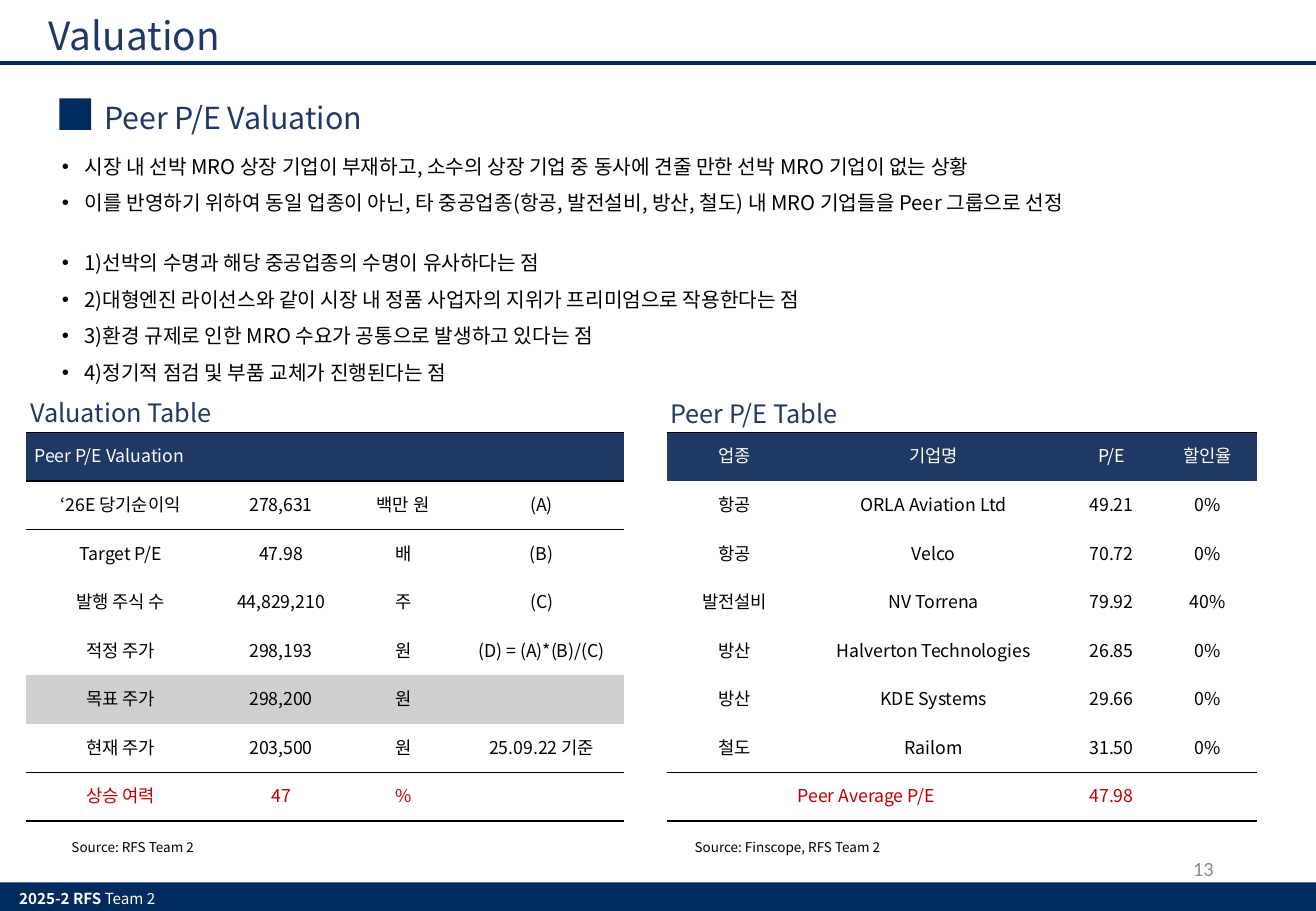
from dataclasses import dataclass

from lxml import etree
from pptx import Presentation
from pptx.dml.color import RGBColor
from pptx.enum.shapes import MSO_CONNECTOR, MSO_SHAPE
from pptx.enum.text import MSO_ANCHOR, MSO_AUTO_SIZE, PP_ALIGN
from pptx.oxml.ns import qn
from pptx.util import Pt

LEFT, MID, RIGHT = PP_ALIGN.LEFT, PP_ALIGN.CENTER, PP_ALIGN.RIGHT
TOP, CENTRE = MSO_ANCHOR.TOP, MSO_ANCHOR.MIDDLE
RECT, LINE = MSO_SHAPE.RECTANGLE, MSO_CONNECTOR.STRAIGHT
FIXED = MSO_AUTO_SIZE.NONE
SANS = "Noto Sans CJK KR"
NAVY, BLUE, GREY, RED = "002B5C", "203864", "D0CECE", "C00000"
WHITE, BLACK, PALE = "FFFFFF", "000000", "8C8C8C"
NO_GRID = "{2D5ABB26-0587-4C30-8999-92F81FD0307C}"
ROW = 28.8


@dataclass
class Label:
    text: str
    box: tuple[float, ...]
    size: float
    color: str
    font: str = SANS
    align: PP_ALIGN = LEFT
    anchor: MSO_ANCHOR = TOP
    lead: str = ""  # bold words before the text


@dataclass
class Grid:
    left: float
    widths: tuple[float, ...]
    rows: list[tuple[str, ...]]
    rules: tuple[int, ...]  # row edges that carry a line
    head: PP_ALIGN = MID
    shade: int = -1
    merge: bool = False


LABELS = [
    Label("Peer P/E Valuation", (54.7, 55.4, 306.7, 28.8), 18, BLUE),
    Label("Valuation Table", (10.8, 231.8, 354.2, 25.2), 15, BLUE),
    Label("Peer P/E Table", (390.2, 232.2, 354.2, 25.2), 15, BLUE),
    Label("Source: RFS Team 2", (35.3, 493.9, 300.2, 17.3), 8, BLACK),
    Label("Source: Finscope, RFS Team 2", (404.6, 493.9, 300.2, 17.3), 8, BLACK),
    Label("Team 2", (4.3, 523.4, 178.6, 18), 9, WHITE, lead="2025-2 RFS "),
    Label("13", (550.8, 500.4, 175.7, 28.8), 12, PALE, "Calibri", RIGHT, CENTRE),
]

POINTS = [
    "시장 내 선박 MRO 상장 기업이 부재하고, 소수의 상장 기업 중 동사에 견줄 만한 선박 MRO 기업이 없는 상황",
    "이를 반영하기 위하여 동일 업종이 아닌, 타 중공업종(항공, 발전설비, 방산, 철도) 내 MRO 기업들을 Peer 그룹으로 선정",
    "1)선박의 수명과 해당 중공업종의 수명이 유사하다는 점",
    "2)대형엔진 라이선스와 같이 시장 내 정품 사업자의 지위가 프리미엄으로 작용한다는 점",
    "3)환경 규제로 인한 MRO 수요가 공통으로 발생하고 있다는 점",
    "4)정기적 점검 및 부품 교체가 진행된다는 점",
]
REASONS = 2  # index of the first numbered reason

GRIDS = [
    Grid(15.4, (112.3, 77.8, 67, 97.2), [
        ("Peer P/E Valuation", "", "", ""),
        ("‘26E 당기순이익", "278,631", "백만 원", "(A)"),
        ("Target P/E", "47.98", "배", "(B)"),
        ("발행 주식 수", "44,829,210", "주", "(C)"),
        ("적정 주가", "298,193", "원", "(D) = (A)*(B)/(C)"),
        ("목표 주가", "298,200", "원", ""),
        ("현재 주가", "203,500", "원", "25.09.22 기준"),
        ("상승 여력", "47", "%", ""),
    ], (0, 1, 7, 8), head=LEFT, shade=5),
    Grid(395.4, (79.9, 156.2, 54.7, 59), [
        ("업종", "기업명", "P/E", "할인율"),
        ("항공", "ORLA Aviation Ltd", "49.21", "0%"),
        ("항공", "Velco", "70.72", "0%"),
        ("발전설비", "NV Torrena", "79.92", "40%"),
        ("방산", "Halverton Technologies", "26.85", "0%"),
        ("방산", "KDE Systems", "29.66", "0%"),
        ("철도", "Railom", "31.50", "0%"),
        ("Peer Average P/E", "", "47.98", ""),
    ], (0, 7, 8), merge=True),
]


def put(item, **values) -> None:
    for name, value in values.items():
        setattr(item, name, value)


def paint(form, color: str) -> None:
    """Give a fill or a line one solid colour."""
    fill = getattr(form, "fill", form)
    fill.solid()
    fill.fore_color.rgb = RGBColor.from_string(color)


def write(para, text: str, size: float, color: str, font: str = SANS,
          bold: bool = False) -> None:
    run = para.add_run()
    run.text = text
    put(run.font, size=Pt(size), name=font, bold=bold)
    run.font.color.rgb = RGBColor.from_string(color)
    latin = run.font._element.find(qn("a:latin"))
    east = etree.Element(qn("a:ea"), typeface=font)
    latin.addnext(east)


def place(shape, box: tuple[float, ...], anchor: MSO_ANCHOR = TOP):
    put(shape, **dict(zip(("left", "top", "width", "height"), map(Pt, box))))
    frame = shape.text_frame
    put(frame, word_wrap=True, auto_size=FIXED, vertical_anchor=anchor)
    return frame


def block(slide, *box: float):
    shape = slide.shapes.add_shape(RECT, *map(Pt, box))
    shape.shadow.inherit = False
    paint(shape.fill, NAVY)
    shape.line.fill.background()


def label(slide, item: Label) -> None:
    frame = place(slide.shapes.add_textbox(0, 0, 0, 0), item.box, item.anchor)
    para = frame.paragraphs[0]
    para.alignment = item.align
    if item.lead:
        write(para, item.lead, item.size, item.color, item.font, True)
    write(para, item.text, item.size, item.color, item.font)


def edge(cell, side: str, rank: int) -> None:
    line = etree.Element(qn("a:" + side), w=str(Pt(1)))
    solid = etree.SubElement(line, qn("a:solidFill"))
    etree.SubElement(solid, qn("a:srgbClr"), val=BLACK)
    cell._tc.get_or_add_tcPr().insert(rank, line)


def table(slide, grid: Grid) -> None:
    count, last = len(grid.rows), len(grid.rows) - 1
    frame = slide.shapes.add_table(count, len(grid.widths), Pt(grid.left), Pt(256.3),
                                   Pt(sum(grid.widths)), Pt(ROW * count))
    sheet = frame.table
    put(sheet, first_row=False, horz_banding=False)
    sheet._tbl.tblPr.find(qn("a:tableStyleId")).text = NO_GRID
    for col, width in zip(sheet.columns, grid.widths):
        col.width = Pt(width)
    for r, texts in enumerate(grid.rows):
        sheet.rows[r].height = Pt(ROW)
        back = BLUE if r == 0 else GREY if r == grid.shade else WHITE
        ink = WHITE if r == 0 else RED if r == last else BLACK
        for c, text in enumerate(texts):
            cell = sheet.cell(r, c)
            put(cell, margin_left=Pt(5), margin_right=Pt(5), margin_top=0,
                margin_bottom=0, vertical_anchor=CENTRE)
            paint(cell.fill, back)
            sides = [s for s, n in (("lnT", r), ("lnB", r + 1)) if n in grid.rules]
            for rank, side in enumerate(sides):
                edge(cell, side, rank)
            para = cell.text_frame.paragraphs[0]
            put(para, alignment=MID if r else grid.head, line_spacing=0.8,
                space_after=Pt(8))
            if text:
                write(para, text, 10.5, ink)
    if grid.merge:
        sheet.cell(last, 0).merge(sheet.cell(last, 1))


def main() -> None:
    deck = Presentation()
    put(deck, slide_width=Pt(780), slide_height=Pt(540))
    slide = deck.slides.add_slide(deck.slide_layouts[1])
    title, body = slide.placeholders

    # Title and rule
    para = place(title, (21.6, 3.6, 458.6, 35.3)).paragraphs[0]
    para.alignment = LEFT
    write(para, "Valuation", 23, BLUE)
    rule = slide.shapes.add_connector(LINE, 0, Pt(37.4), Pt(780), Pt(37.4))
    paint(rule.line, NAVY)
    rule.line.width = Pt(2.25)
    etree.SubElement(rule._element.spPr, qn("a:effectLst"))

    # Footer band and heading marker
    block(slide, 0, 523, 780, 17)
    block(slide, 35.3, 58.3, 18.7, 18.7)

    # Bullet list
    frame = place(body, (29.5, 80.6, 724.3, 151.2))
    for i, text in enumerate(POINTS):
        para = frame.add_paragraph() if i else frame.paragraphs[0]
        put(para, line_spacing=1.5, space_before=Pt(14 if i == REASONS else 0))
        props = para._p.get_or_add_pPr()
        props.set("marL", str(Pt(13.5)))
        props.set("indent", str(-Pt(13.5)))
        write(para, text, 12, BLACK)

    # Tables and labels
    for grid in GRIDS:
        table(slide, grid)
    for item in LABELS:
        label(slide, item)

    deck.save("out.pptx")


if __name__ == "__main__":
    main()
